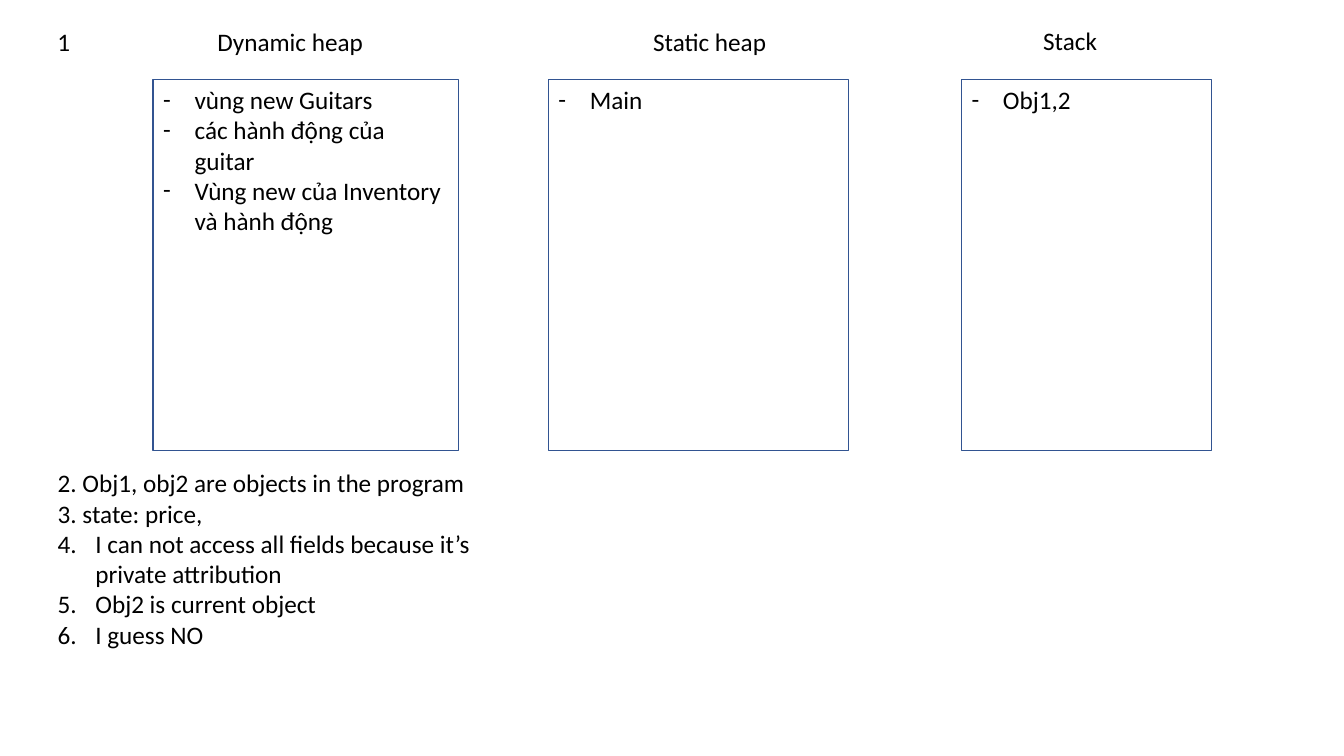
import pptx
import pptx.util
import pptx.dml.color
import pptx.enum.shapes
import pptx.enum.text
import pptx.oxml
import pptx.oxml.ns
from lxml import etree

Cm = pptx.util.Cm
Pt = pptx.util.Pt


def color(code):
    return pptx.dml.color.RGBColor.from_string(code)


def write(frame, items, wrap=True):
    frame.word_wrap = wrap
    frame.auto_size = pptx.enum.text.MSO_AUTO_SIZE.SHAPE_TO_FIT_TEXT
    frame.vertical_anchor = pptx.enum.text.MSO_ANCHOR.TOP
    for i, (mark, text) in enumerate(items):
        para = frame.paragraphs[0] if i == 0 else frame.add_paragraph()
        para.space_before = Pt(0)
        run = para.add_run()
        run.text = text
        run.font.name = "Calibri"
        run.font.size = Pt(18)
        run.font.bold = False
        run.font.color.rgb = color("000000")
        tag, attrs, indent = marks[mark]
        props = para._p.get_or_add_pPr()
        props.set("marL", str(Cm(indent)))
        props.set("indent", str(-Cm(indent)))
        if tag != "a:buNone":
            font = "Calibri" if mark == "-" else "+mj-lt"
            etree.SubElement(props, pptx.oxml.ns.qn("a:buFont"), typeface=font)
        etree.SubElement(props, pptx.oxml.ns.qn(tag), **attrs)


marks = {
    "": ("a:buNone", {}, 0),
    "-": ("a:buChar", {"char": "-"}, 0.79),
    "4": ("a:buAutoNum", {"type": "arabicPeriod", "startAt": "4"}, 0.95),
}

deck = pptx.Presentation()
deck.slide_width = Cm(33.87)
deck.slide_height = Cm(19.05)
slide = deck.slides.add_slide(deck.slide_layouts[4])
title, *bodies = [s for s in slide.placeholders if s.placeholder_format.idx < 5]
title._element.getparent().remove(title._element)

areas = [
    ("Dynamic heap", 5.23, 0.53, 4.22, 3.86, 7.7, 4.11,
     ["vùng new Guitars", "các hành động của guitar",
      "Vùng new của Inventory và hành động"]),
    ("Static heap", 16.21, 0.53, 3.4, 13.82, 7.57, 1.03, ["Main"]),
    ("Stack", 26.04, 0.51, 1.88, 24.23, 6.3, 1.03, ["Obj1,2"]),
]
for body, area in zip(bodies, areas):
    name, x, y, wide, left, width, height, items = area
    box = slide.shapes.add_shape(
        pptx.enum.shapes.MSO_SHAPE.RECTANGLE,
        Cm(left), Cm(2), Cm(width), Cm(9.35))
    box.shadow.inherit = False
    box.fill.background()
    box.line.color.rgb = color("325491")
    box.line.width = Pt(1)
    head = slide.shapes.add_textbox(Cm(x), Cm(y), Cm(wide), Cm(1.03))
    write(head.text_frame, [("", name)], False)
    body.left, body.top = Cm(left), Cm(2)
    body.width, body.height = Cm(width), Cm(height)
    write(body.text_frame, [("-", item) for item in items])

notes = bodies[3]
notes.left, notes.top = Cm(1.2), Cm(11.66)
notes.width, notes.height = Cm(11.43), Cm(4.88)
write(notes.text_frame, [
    ("", "2. Obj1, obj2 are objects in the program"),
    ("", "3. state: price,"),
    ("4", "I can not access all fields because it’s private attribution"),
    ("4", "Obj2 is current object"),
    ("4", "I guess NO"),
])

first = slide.shapes.add_textbox(Cm(1.2), Cm(0.53), Cm(1.68), Cm(1.03))
write(first.text_frame, [("", "1")])

for spare in list(slide.placeholders):
    if not spare.text_frame.text:
        spare._element.getparent().remove(spare._element)

deck.save("out.pptx")
